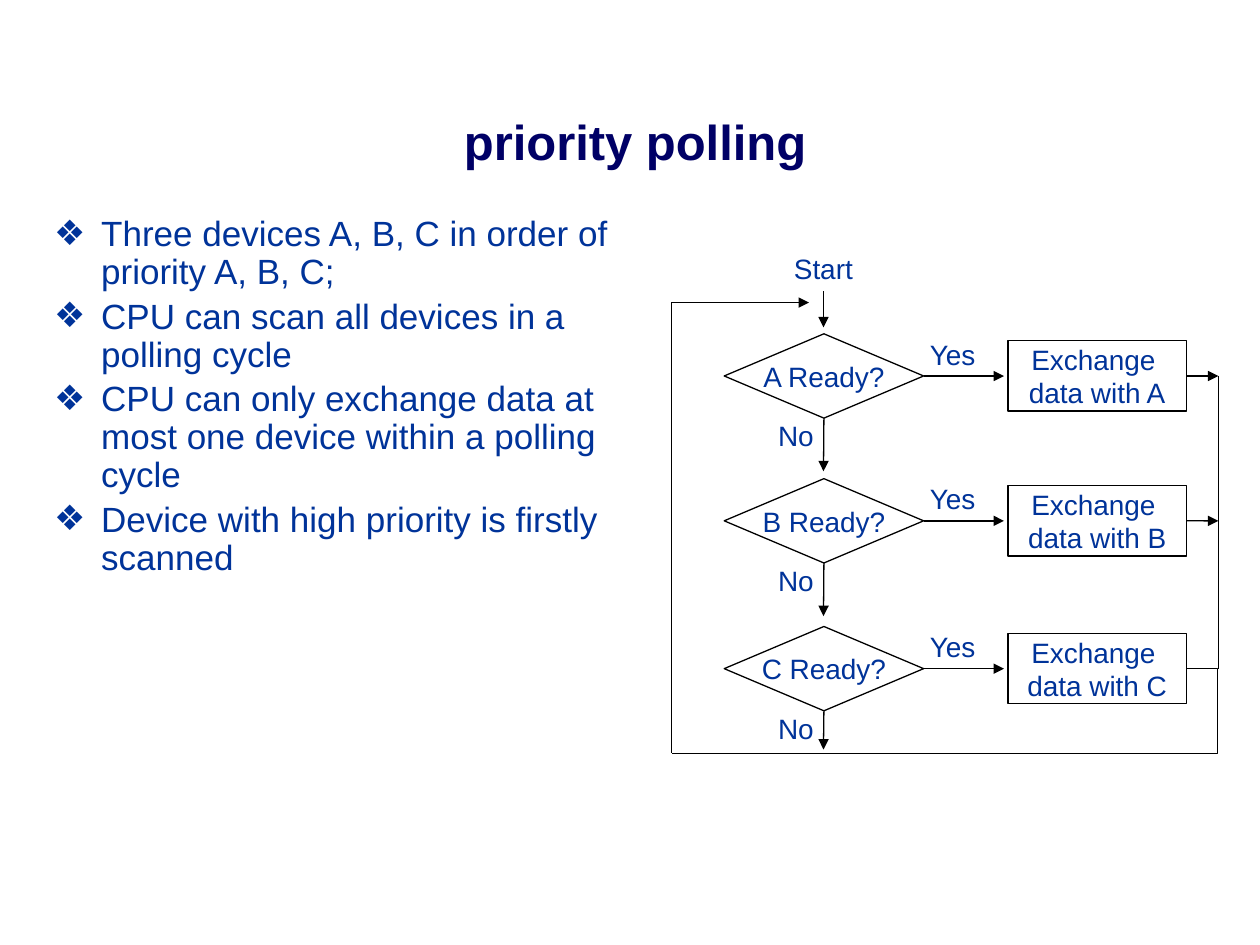
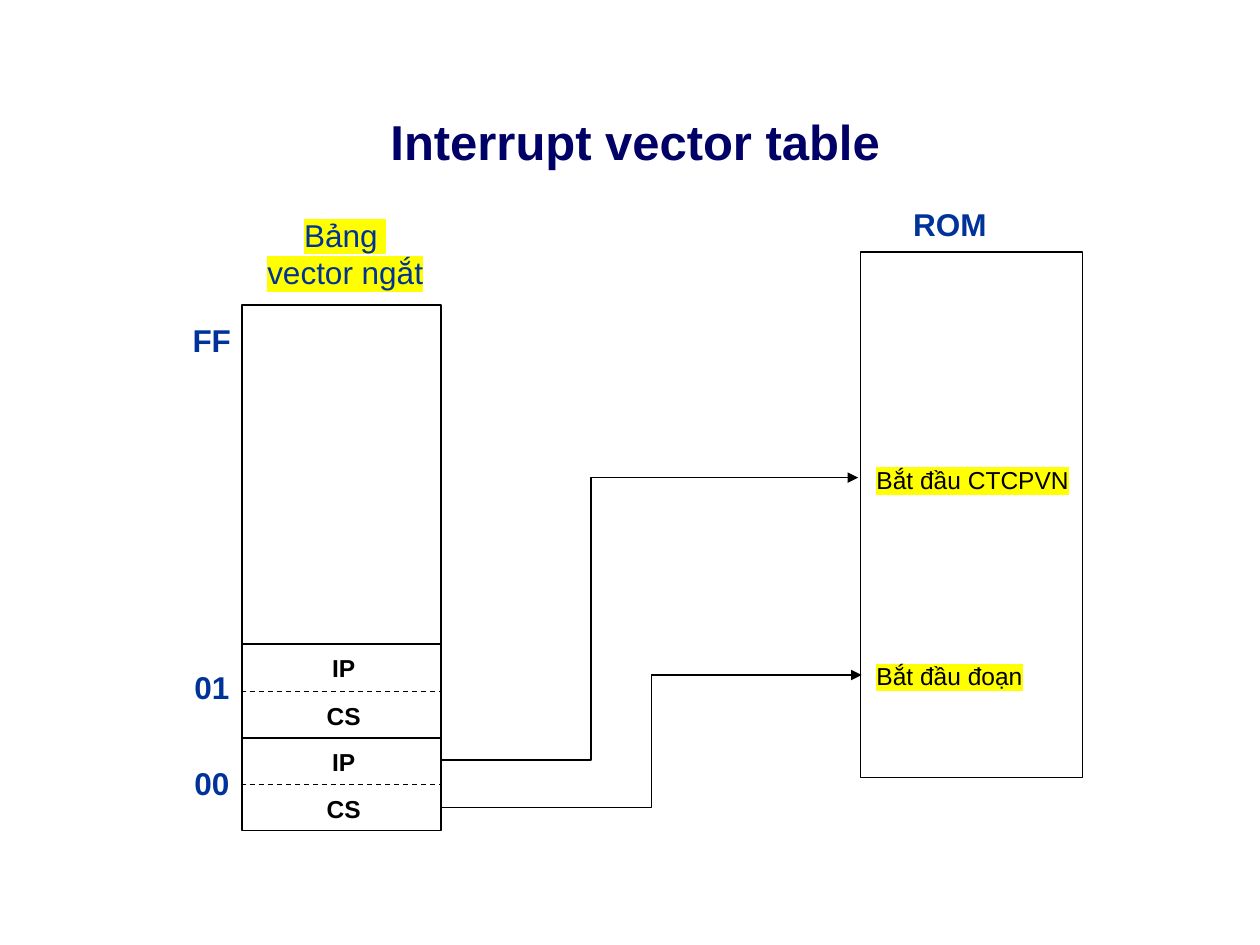
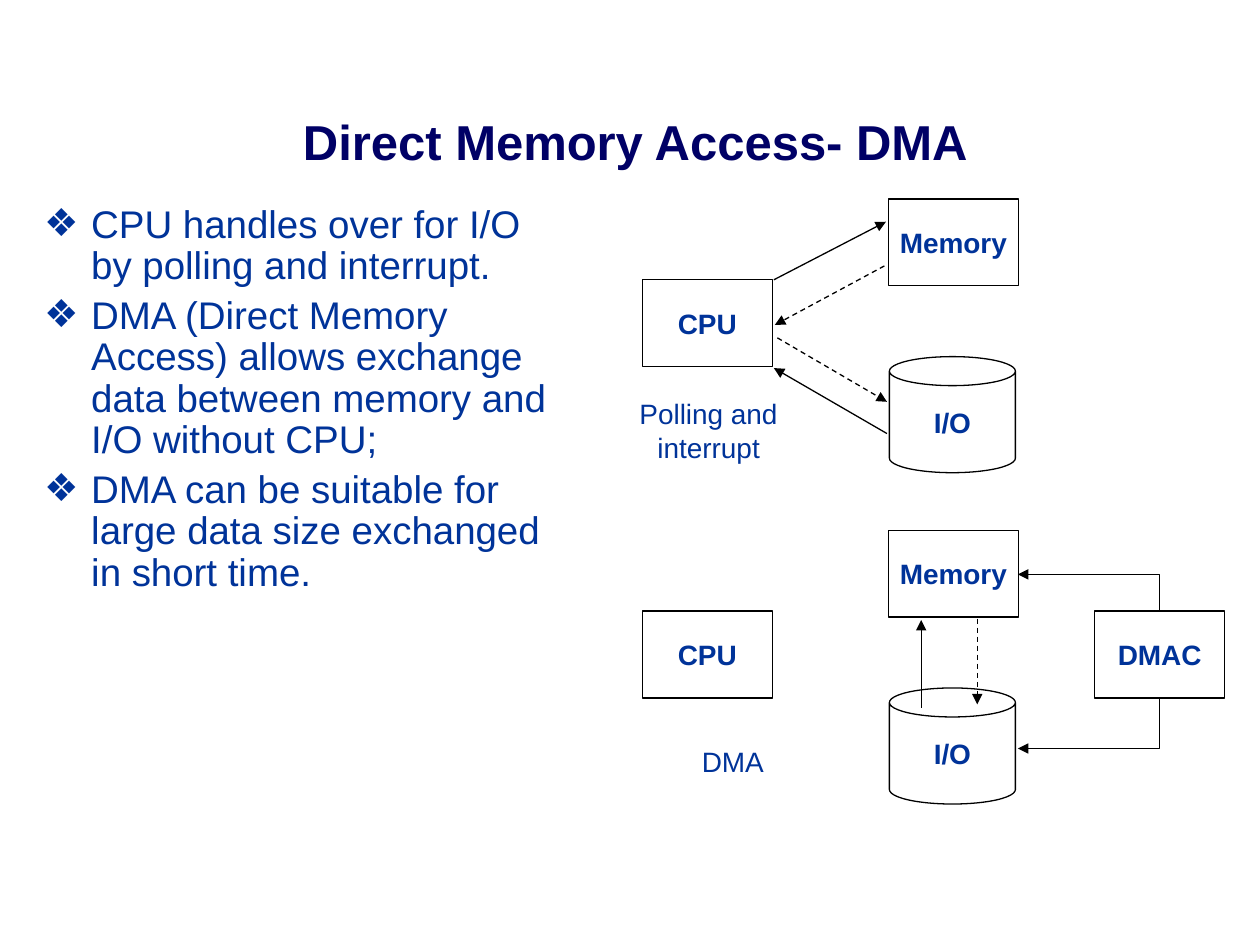
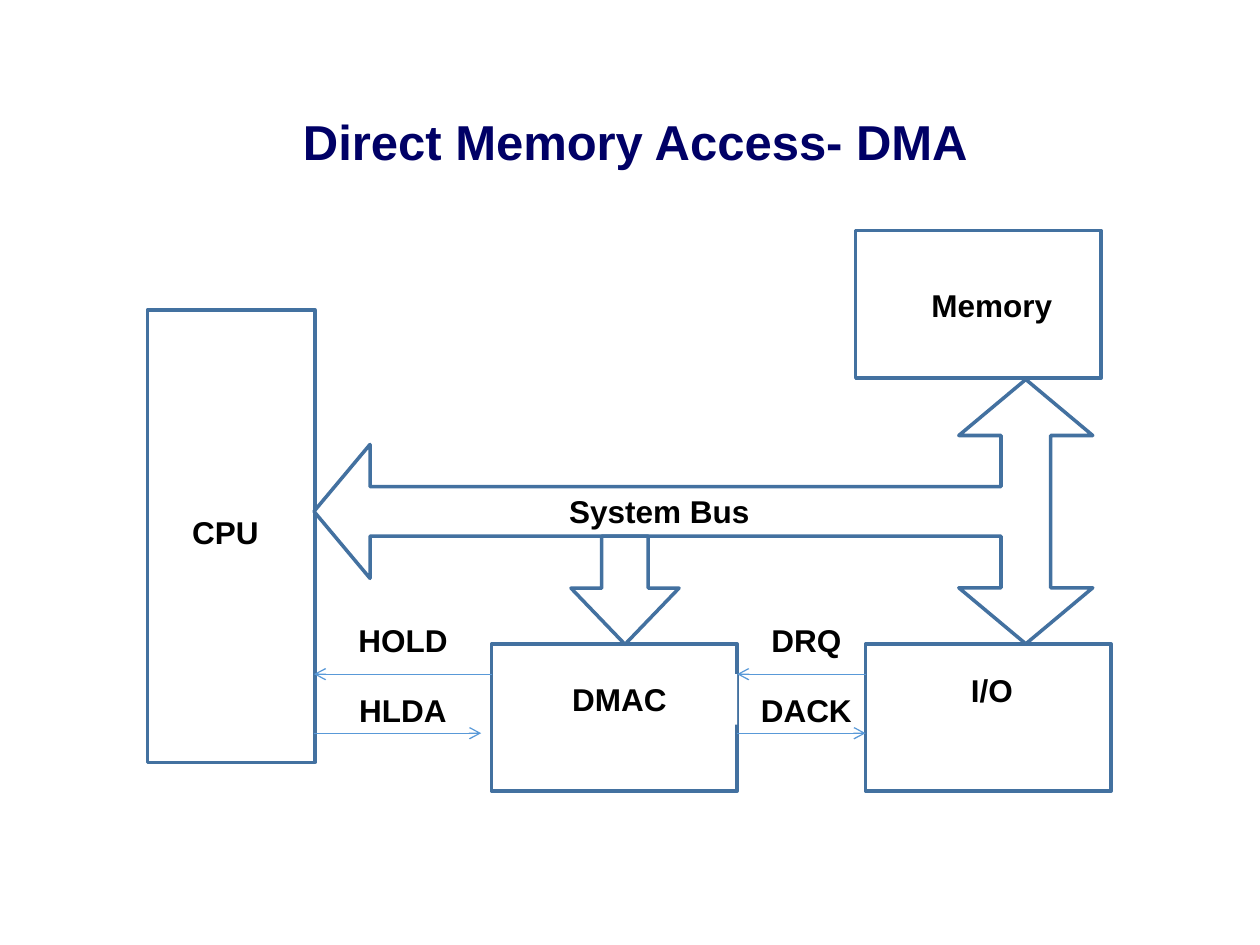
from copy import deepcopy

from pptx import Presentation
from pptx.dml.color import RGBColor
from pptx.enum.dml import MSO_LINE
from pptx.enum.shapes import MSO_CONNECTOR as Route, MSO_SHAPE as Preset
from pptx.enum.text import MSO_ANCHOR as Anchor, PP_ALIGN as Align
from pptx.oxml import parse_xml
from pptx.oxml.ns import nsdecls, qn
from pptx.util import Cm, Pt

NAVY = RGBColor(0x00, 0x00, 0x66)
BLUE = RGBColor(0x00, 0x33, 0x99)
BLACK = RGBColor(0x00, 0x00, 0x00)
WHITE = RGBColor(0xFF, 0xFF, 0xFF)
STEEL = RGBColor(0x43, 0x71, 0xA0)
SKY = RGBColor(0x59, 0x99, 0xD8)
YELLOW = RGBColor(0xFF, 0xFF, 0x00)

TOP, LEFT, BOTTOM, RIGHT = range(4)
INDENT = Cm(0.95)


def style(size, color, bold=False, highlight=None):
    return {"font": {"name": "Arial", "size": Pt(size), "bold": bold},
            "color": color, "highlight": highlight}


TITLE = style(28, NAVY, True)
FLOW = style(16, BLUE)
FLOW_BOLD = style(16, BLUE, True)
HEADING = style(18, BLUE, True)
CELL = style(14, BLACK, True)
BLOCK = style(18, BLACK, True)
MARKED_HEADING = style(18, BLUE, highlight=YELLOW)
MARKED = style(14, BLACK, highlight=YELLOW)


def lengths(values):
    return [Cm(value) for value in values]


def element(tag, content="", **attributes):
    """Make a DrawingML element."""
    pairs = " ".join(f'{name}="{value}"' for name, value in attributes.items())
    return parse_xml(f'<a:{tag} {nsdecls("a")} {pairs}>{content}</a:{tag}>')


def format_para(para, look):
    for span in para.runs:
        for name, value in look["font"].items():
            setattr(span.font, name, value)
        span.font.color.rgb = look["color"]
        if look["highlight"]:
            mark = element("highlight", f'<a:srgbClr val="{look["highlight"]}"/>')
            span.font._element.find(qn("a:latin")).addprevious(mark)
        for line_break in para._p.findall(qn("a:br")):
            if len(line_break) == 0:
                line_break.append(deepcopy(span.font._element))


def write(box, text, look, align=Align.CENTER, anchor=Anchor.MIDDLE, wrap=True):
    frame = box.text_frame
    for name, value in {"word_wrap": wrap, "vertical_anchor": anchor}.items():
        setattr(frame, name, value)
    para = frame.paragraphs[0]
    para.text = text
    para.alignment = align
    format_para(para, look)


def add_label(page, at, text, look, **layout):
    write(page.shapes.add_textbox(*lengths(at)), text, look, **layout)


def paint(shape, line, width, fill):
    shape.shadow.inherit = False
    if fill is None:
        shape.fill.background()
    else:
        shape.fill.solid()
        shape.fill.fore_color.rgb = fill
    if line is None:
        shape.line.fill.background()
    else:
        shape.line.color.rgb = line
        shape.line.width = Pt(width)


def add_block(page, preset, at, text="", look=FLOW, line=BLACK, width=0.75,
              fill=None, **layout):
    shape = page.shapes.add_shape(preset, *lengths(at))
    paint(shape, line, width, fill)
    if text:
        write(shape, text, look, **layout)
    return shape


def add_line(page, start, end, color=BLACK, dashed=False, head=None, tail=None,
             route=Route.STRAIGHT):
    line = page.shapes.add_connector(route, *lengths(start + end))
    line.line.color.rgb = color
    line.line.width = Pt(0.75)
    if dashed:
        line.line.dash_style = MSO_LINE.DASH
    properties = line.element.spPr
    for tag, kind in (("headEnd", head), ("tailEnd", tail)):
        if kind:
            properties.find(qn("a:ln")).append(element(tag, type=kind))
    properties.append(element("effectLst"))
    return line


def add_elbow(page, start, end, bend=None, **ends):
    """Leave start sideways; turn once, or twice with the first turn at share bend."""
    line = add_line(page, start, end, route=Route.ELBOW, **ends)
    geometry = line.element.spPr.find(qn("a:prstGeom"))
    if bend is None:
        geometry.set("prst", "bentConnector2")
    else:
        for guides in geometry.findall(qn("a:avLst")):
            geometry.remove(guides)
        guide = f'<a:gd name="adj1" fmla="val {round(bend * 100000)}"/>'
        geometry.append(element("avLst", guide))


def add_bullets(page, at, size, texts):
    frame = page.shapes.add_textbox(*lengths(at)).text_frame
    frame.word_wrap = True
    for index, text in enumerate(texts):
        para = frame.add_paragraph() if index else frame.paragraphs[0]
        para.text = text
        para.line_spacing = 0.9
        if index:
            para.space_before = Pt(size * 0.2)
        properties = para._p.get_or_add_pPr()
        properties.set("marL", str(INDENT))
        properties.set("indent", str(-INDENT))
        properties.append(element("buClr", f'<a:srgbClr val="{BLUE}"/>'))
        properties.append(element("buFont", typeface="Arial"))
        properties.append(element("buChar", char="❖"))
        format_para(para, style(size, BLUE))


def add_page(deck, title):
    page = deck.slides.add_slide(deck.slide_layouts[6])
    add_label(page, (0.64, 2.11, 24.33, 1.45), title, TITLE)
    return page


def build_polling(deck):
    page = add_page(deck, "priority polling")
    add_bullets(page, (0.84, 4.24, 12.06, 12.78), 20, (
        "Three devices A, B, C in order of priority A, B, C;",
        "CPU can scan all devices in a polling cycle",
        "CPU can only exchange data at most one device within a polling cycle",
        "Device with high priority is firstly scanned"))
    axis, return_x, loop_y = 16.6, 24.56, 15.19
    add_label(page, (15.65, 4.88, 1.9, 1.07), "Start", FLOW, wrap=False)
    add_line(page, (axis, 5.87), (axis, 6.6), tail="triangle")

    rows = (("A", 7.58, 9.5), ("B", 10.5, 12.42), ("C", 13.48, 15.11))
    for device, middle, next_y in rows:
        test = add_block(page, Preset.DIAMOND, (14.6, middle - 0.85, 4.02, 1.7),
                         f"{device} Ready?", wrap=False)
        exchange = add_block(page, Preset.RECTANGLE, (20.32, middle - 0.71, 3.6, 1.42),
                             f"Exchange \ndata with {device}", wrap=False)
        yes = add_line(page, (18.62, middle), (20.24, middle), tail="triangle")
        yes.begin_connect(test, RIGHT)
        no = add_line(page, (axis, middle + 0.85), (axis, next_y), tail="triangle")
        no.begin_connect(test, BOTTOM)
        add_label(page, (18.42, middle - 0.98, 1.57, 1.07), "Yes", FLOW, wrap=False)
        add_label(page, (15.37, middle + 0.67, 1.35, 1.07), "No", FLOW, wrap=False)
        if device != "C":
            done = add_line(page, (23.92, middle), (return_x, middle), tail="triangle")
            done.begin_connect(exchange, RIGHT)

    first_y, last_y = rows[0][1], rows[-1][1]
    add_line(page, (return_x, first_y), (return_x, last_y))
    add_elbow(page, (23.92, last_y), (13.54, loop_y), bend=-0.06)
    add_elbow(page, (16.31, 6.1), (13.54, loop_y), head="triangle")


def build_vectors(deck):
    page = add_page(deck, "Interrupt vector table")
    add_block(page, Preset.RECTANGLE, (4.88, 6.15, 4.01, 10.59))
    dividers = (("IP", 12.98), ("CS", 13.94), ("IP", 14.88), ("CS", 15.82))
    for register, y in dividers:
        add_line(page, (4.85, y), (8.89, y), dashed=register == "CS")
        add_label(page, (6.27, y + 0.06, 1.32, 0.84), register, CELL)
    for number, y in (("00", 15.27), ("01", 13.34), ("FF", 6.35)):
        add_label(page, (3.61, y, 1.32, 1.02), number, HEADING)
    add_label(page, (4.52, 4.22, 4.88, 1.78), "Bảng \nvector ngắt", MARKED_HEADING)

    add_block(page, Preset.RECTANGLE, (17.35, 5.08, 4.47, 10.59))
    add_label(page, (17.98, 4.01, 2.34, 1.02), "ROM", HEADING)
    add_elbow(page, (8.89, 16.28), (17.37, 13.61), bend=0.5, tail="triangle")
    add_elbow(page, (8.89, 15.32), (17.3, 9.63), bend=0.36, tail="triangle")
    for text, y, width in (("Bắt đầu đoạn", 13.21, 3.73), ("Bắt đầu CTCPVN", 9.25, 4.98)):
        add_label(page, (17.42, y, width, 0.84), text, MARKED, align=Align.LEFT)


def build_dma_comparison(deck):
    page = add_page(deck, "Direct Memory Access- DMA")
    add_bullets(page, (0.64, 4.01, 11.1, 13), 22, (
        "CPU handles over for I/O by polling and interrupt.",
        "DMA (Direct Memory Access) allows exchange data between memory and I/O "
        "without CPU;",
        "DMA can be suitable for large data size exchanged in short time."))

    def add_unit(name, x, y):
        add_block(page, Preset.RECTANGLE, (x, y, 2.62, 1.75), name, FLOW_BOLD, wrap=False)

    for caption, x, y in (("Polling and interrupt", 11.96, 4.01), ("DMA", 12.45, 10.69)):
        add_unit("CPU", 12.95, y + 1.63)
        add_unit("Memory", 17.91, y)
        # The text area of a can already starts below its lid.
        add_block(page, Preset.CAN, (17.93, y + 3.18, 2.54, 2.34), "I/O", FLOW_BOLD,
                  wrap=False)
        add_label(page, (x, y + 3.79, 4.65, 1.75), caption, FLOW, wrap=False)

    links = (((17.88, 8.74), (15.6, 7.42), False),
             ((15.6, 5.64), (17.86, 4.47), False),
             ((17.83, 5.36), (15.62, 6.55), True),
             ((15.67, 6.81), (17.88, 8.1), True),
             ((18.57, 14.27), (18.57, 12.5), False),
             ((19.7, 12.47), (19.7, 14.2), True))
    for start, end, dashed in links:
        add_line(page, start, end, dashed=dashed, tail="triangle")
    add_unit("DMAC", 22.07, 12.32)
    for target_y, side_y in ((11.58, 12.32), (15.09, 14.07)):
        add_elbow(page, (20.52, target_y), (23.37, side_y), head="triangle")


def add_system_bus(page):
    """Draw one outline with arrowheads to the CPU, the memory and the I/O."""
    axis_x, axis_y = 20.68, 10.31
    west, north, south = 6.33, 7.65, 12.98
    shaft, head, length = 0.5, 1.35, 1.13
    upper = [(west, axis_y), (west + length, axis_y - head),
             (west + length, axis_y - shaft), (axis_x - shaft, axis_y - shaft),
             (axis_x - shaft, north + length), (axis_x - head, north + length),
             (axis_x, north), (axis_x + head, north + length),
             (axis_x + shaft, north + length)]
    lower = [(axis_x + shaft, south - length), (axis_x + head, south - length),
             (axis_x, south), (axis_x - head, south - length),
             (axis_x - shaft, south - length), (axis_x - shaft, axis_y + shaft),
             (west + length, axis_y + shaft), (west + length, axis_y + head)]
    start, *others = [lengths(point) for point in upper + lower]
    outline = page.shapes.build_freeform(*start)
    outline.add_line_segments(others, close=True)
    paint(outline.convert_to_shape(), STEEL, 2, WHITE)


def build_dma_signals(deck):
    page = add_page(deck, "Direct Memory Access- DMA")
    frame = {"line": STEEL, "width": 2, "fill": WHITE}
    add_block(page, Preset.RECTANGLE, (2.97, 6.25, 3.38, 9.12), **frame)
    add_label(page, (3.35, 10.21, 2.39, 1.02), "CPU", BLOCK)
    units = (("Memory", 17.25, 4.65, 18.24, 5.64, 3.51),
             ("I/O", 17.45, 12.98, 18.24, 13.39, 3.51),
             ("DMAC", 9.91, 12.98, 10.11, 13.59, 4.75))
    for name, x, y, name_x, name_y, name_width in units:
        add_block(page, Preset.RECTANGLE, (x, y, 4.95, 2.97), **frame)
        add_block(page, Preset.RECTANGLE, (name_x, name_y, name_width, 1.02), name,
                  BLOCK, line=None, fill=WHITE)

    request_y, reply_y = 13.59, 14.78
    signals = (("HOLD", 9.91, 6.33, request_y, 6.93), ("DRQ", 17.45, 14.86, request_y, 15.06),
               ("HLDA", 6.33, 9.7, reply_y, 6.93), ("DACK", 14.86, 17.45, reply_y, 15.06))
    for name, start_x, end_x, y, name_x in signals:
        add_line(page, (start_x, y), (end_x, y), color=SKY, tail="arrow")
        add_label(page, (name_x, y - 1.2 if y == request_y else y - 0.98, 2.39, 1.02),
                  name, BLOCK)

    add_system_bus(page)
    arrow = add_block(page, Preset.DOWN_ARROW, (11.51, 10.81, 2.18, 2.18), **frame)
    arrow.adjustments[0] = 0.43
    arrow.adjustments[1] = 0.52
    add_label(page, (8.92, 9.8, 8.74, 1.02), "System Bus", BLOCK)


def main():
    deck = Presentation()
    deck.slide_width, deck.slide_height = Cm(25.4), Cm(19.05)
    for build in (build_polling, build_vectors, build_dma_comparison, build_dma_signals):
        build(deck)
    deck.save("out.pptx")


if __name__ == "__main__":
    main()
